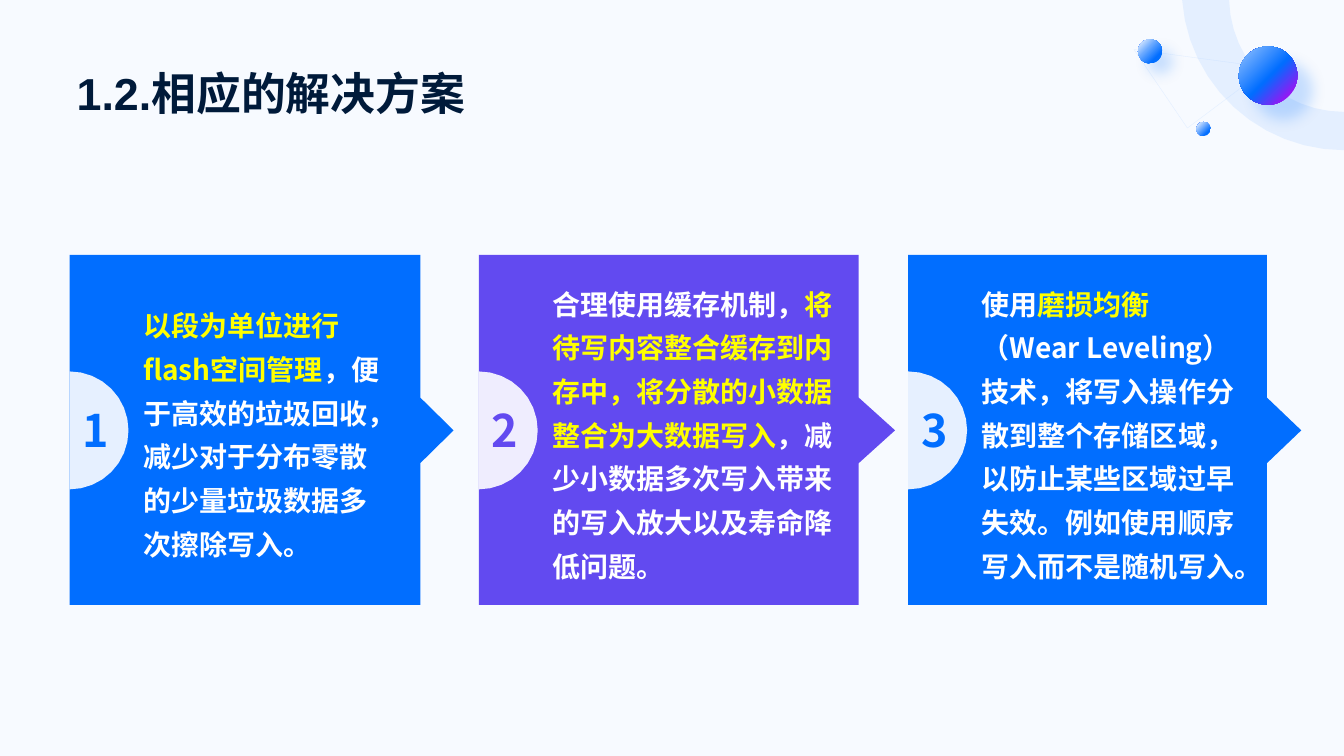
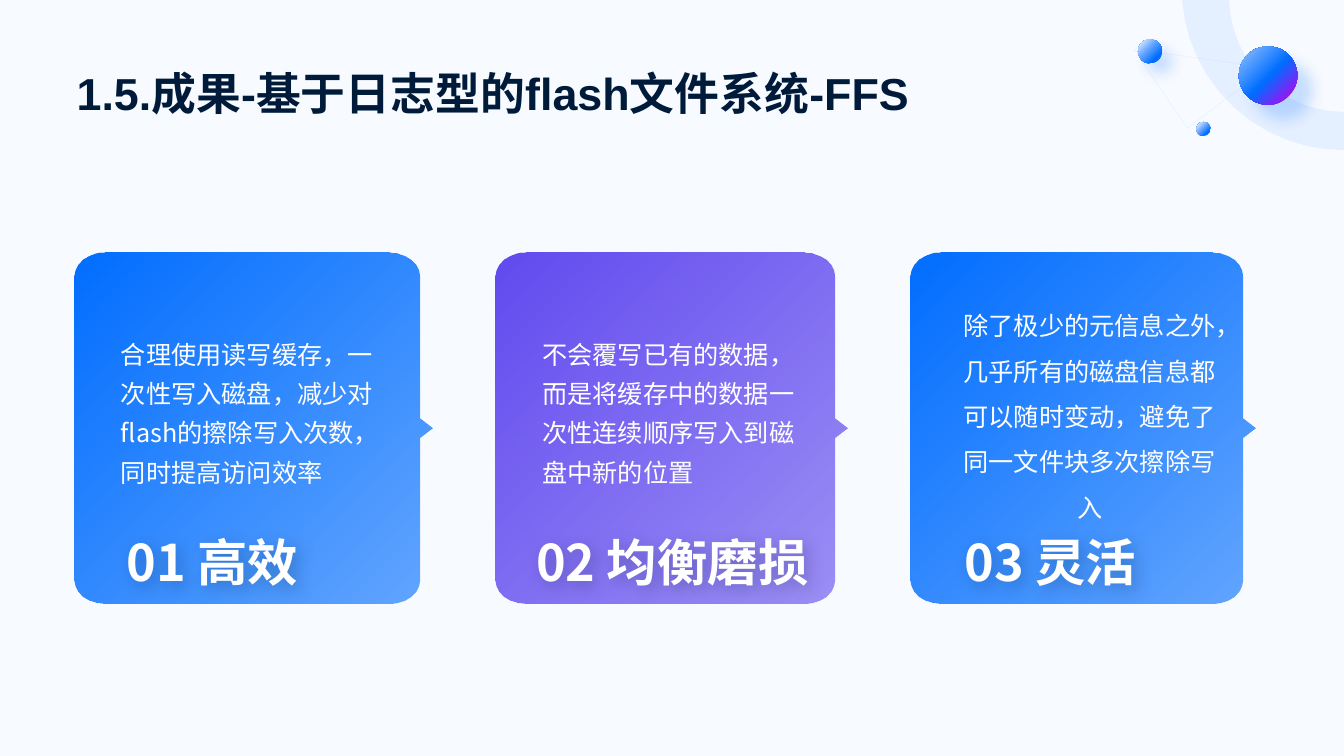
from math import cos, radians, sin

from pptx import Presentation
from pptx.dml.color import RGBColor
from pptx.enum.shapes import MSO_SHAPE
from pptx.enum.text import MSO_ANCHOR, PP_ALIGN
from pptx.oxml import parse_xml
from pptx.oxml.ns import nsdecls, qn
from pptx.util import Inches, Pt

OVAL, RECT = MSO_SHAPE.OVAL, MSO_SHAPE.RECTANGLE
MIDDLE, BOTTOM = MSO_ANCHOR.MIDDLE, MSO_ANCHOR.BOTTOM
LEFT, CENTER = PP_ALIGN.LEFT, PP_ALIGN.CENTER

SLIDE_W, SLIDE_H = 40 / 3, 7.5

BLUE = RGBColor(0x01, 0x6E, 0xFF)
PURPLE = RGBColor(0x62, 0x4A, 0xF0)
VIOLET = RGBColor(0x96, 0x18, 0xF4)
SKY = RGBColor(0x67, 0xA8, 0xFF)
LIGHT_BLUE = RGBColor(0x99, 0xC5, 0xFF)
PALE_BLUE = RGBColor(0xCC, 0xE2, 0xFF)
BADGE_BLUE = RGBColor(0xE6, 0xF0, 0xFF)
BADGE_PURPLE = RGBColor(0xEF, 0xED, 0xFE)
BACKGROUND = RGBColor(0xF7, 0xFA, 0xFF)
NAVY = RGBColor(0x00, 0x1A, 0x3A)
YELLOW = RGBColor(0xFF, 0xFF, 0x00)
WHITE = RGBColor(0xFF, 0xFF, 0xFF)

TITLE_FONT, BODY_FONT = "Arial", "Noto Sans CJK SC"

# Left edge, body width, arrow tip, card and badge colours, text runs
SOLUTIONS = [
    (0.69, 3.48, 0.33, BLUE, BADGE_BLUE, [
        ("以段为单位进行flash空间管理", YELLOW),
        ("，便于高效的垃圾回收，减少对于分布零散的少量垃圾数据多次擦除写入。", WHITE)]),
    (4.75, 3.77, 0.36, PURPLE, BADGE_PURPLE, [
        ("合理使用缓存机制，", WHITE),
        ("将待写内容整合缓存到内存中，将分散的小数据整合为大数据写入", YELLOW),
        ("，减少小数据多次写入带来的写入放大以及寿命降低问题。", WHITE)]),
    (9.01, 3.56, 0.34, BLUE, BADGE_BLUE, [
        ("使用", WHITE),
        ("磨损均衡", YELLOW),
        ("（Wear Leveling）技术，将写入操作分散到整个存储区域，以防止某些区域过早失效。"
         "例如使用顺序写入而不是随机写入。", WHITE)]),
]

# Left edge, body width, right inset, colour, text, alignment, line spacing,
# label, its left and width
RESULTS = [
    (0.74, 3.42, 0.36, BLUE,
     "合理使用读写缓存，一次性写入磁盘，减少对flash的擦除写入次数，同时提高访问效率",
     LEFT, 1.3, "01 高效", 1.14, 1.93),
    (4.92, 3.36, 0.34, PURPLE,
     "不会覆写已有的数据，而是将缓存中的数据一次性连续顺序写入到磁盘中新的位置",
     LEFT, 1.3, "02 均衡磨损", 5.16, 3.02),
    (9.03, 3.3, 0.33, BLUE,
     "除了极少的元信息之外，几乎所有的磁盘信息都可以随时变动，避免了同一文件块多次擦除写入",
     CENTER, 1.5, "03 灵活", 9.28, 2.28),
]


# Fills and effects
def color_xml(color, alpha=100):
    return f'<a:srgbClr val="{color}"><a:alpha val="{alpha * 1000}"/></a:srgbClr>'


def set_alpha(fill_parent, alpha):
    color = fill_parent.find(qn("a:solidFill"))[0]
    color.append(parse_xml(f'<a:alpha {nsdecls("a")} val="{alpha * 1000}"/>'))


def set_gradient(sp, stops, angle=None):
    """Stops are (position, colour, alpha); radial unless an angle is given."""
    gs = "".join(f'<a:gs pos="{pos * 1000}">{color_xml(color, alpha)}</a:gs>'
                 for pos, color, alpha in stops)
    if angle is None:
        way = '<a:path path="circle"><a:fillToRect r="100000" b="100000"/></a:path>'
    else:
        way = f'<a:lin ang="{angle * 60000}" scaled="0"/>'
    sp.fill.background()
    spPr = sp._element.spPr
    spPr.replace(spPr.find(qn("a:noFill")), parse_xml(
        f'<a:gradFill {nsdecls("a")} rotWithShape="1"><a:gsLst>{gs}</a:gsLst>{way}</a:gradFill>'))


def set_shadow(sp, color, alpha, blur, dist):
    sp.shadow.inherit = False
    sp._element.spPr.find(qn("a:effectLst")).append(parse_xml(
        f'<a:outerShdw {nsdecls("a")} blurRad="{Pt(blur)}" dist="{Pt(dist)}" dir="2700000" '
        f'algn="tl" rotWithShape="0">{color_xml(color, alpha)}</a:outerShdw>'))


def set_plain(sp, fill=None):
    sp.shadow.inherit = False
    sp.line.fill.background()
    if fill is None:
        sp.fill.background()
    else:
        sp.fill.solid()
        sp.fill.fore_color.rgb = fill
    return sp


# Outlines, shapes and text
def arc(cx, cy, rx, ry, start, end, steps=6):
    """Points along an ellipse, in degrees clockwise from the right."""
    angles = [radians(start + (end - start) * i / steps) for i in range(steps + 1)]
    return [(cx + rx * cos(a), cy + ry * sin(a)) for a in angles]


def add_outline(s, points, fill=None):
    points = [(Inches(x), Inches(y)) for x, y in points]
    builder = s.shapes.build_freeform(*points[0])
    builder.add_line_segments(points[1:], close=True)
    return set_plain(builder.convert_to_shape(), fill)


def add_preset(s, kind, x, y, w, h, fill=None):
    return set_plain(s.shapes.add_shape(kind, Inches(x), Inches(y), Inches(w), Inches(h)), fill)


def set_text(sp, runs, size, font=BODY_FONT, bold=False, align=LEFT, anchor=MIDDLE,
             spacing=1.0, insets=(0, 0, 0, 0), wrap=True):
    """Runs are (text, colour); insets are left, top, right, bottom."""
    tf = sp.text_frame
    tf.word_wrap = wrap
    tf.vertical_anchor = anchor
    tf.margin_left, tf.margin_top, tf.margin_right, tf.margin_bottom = map(Inches, insets)
    p = tf.paragraphs[0]
    p.alignment = align
    p.line_spacing = spacing
    for text, color in runs:
        r = p.add_run()
        r.text = text
        r.font.size, r.font.bold, r.font.name = Pt(size), bold, font
        r.font.color.rgb = color
        rPr = r.font._element
        rPr.set("lang", "zh-CN")
        rPr.append(parse_xml(f'<a:ea {nsdecls("a")} typeface="{BODY_FONT}"/>'))


def add_text(s, x, y, w, h, text, color, **fmt):
    sp = s.shapes.add_textbox(Inches(x), Inches(y), Inches(w), Inches(h))
    set_text(sp, [(text, color)], **fmt)
    return sp


# Parts shared by the slides
def add_ball(s, x, y, size, stops):
    sp = add_preset(s, OVAL, x, y, size, size)
    set_gradient(sp, [(pos, color, 100) for pos, color in stops])
    return sp


def new_slide(prs, title):
    s = prs.slides.add_slide(prs.slide_layouts[6])
    add_preset(s, RECT, 0, 0, SLIDE_W, SLIDE_H, BACKGROUND)

    # Corner decoration
    web = add_outline(s, [(11.25, 0.49), (12.58, 0.67), (11.78, 1.27)])
    web.line.color.rgb = PALE_BLUE
    web.line.width = Pt(0.25)
    set_alpha(web.line._ln, 50)
    ring = add_outline(s, arc(SLIDE_W, -0.12, 1.61, 1.61, 90, 175.7, steps=12)
                       + arc(SLIDE_W, -0.03, 1.14, 1.14, 178.5, 90, steps=12), LIGHT_BLUE)
    set_alpha(ring._element.spPr, 20)
    big = add_ball(s, 12.29, 0.46, 0.58, [(0, LIGHT_BLUE), (52, BLUE), (85, VIOLET)])
    set_shadow(big, BLUE, 20, 10, 15)
    small = add_ball(s, 11.29, 0.39, 0.24, [(12, PALE_BLUE), (40, SKY), (75, BLUE)])
    set_shadow(small, BLUE, 20, 10, 10)
    add_ball(s, 11.87, 1.21, 0.14, [(13, PALE_BLUE), (75, BLUE)])

    add_text(s, 0.76, 0.39, 11.81, 0.79, title, NAVY, size=32, font=TITLE_FONT,
             bold=True, anchor=BOTTOM)
    return s


# Cards
def add_solution(s, number, x, w, tip, color, badge_color, runs):
    top, bottom, middle = 2.53, 6, 4.27
    notch, radius = 0.65 / 2, 1.17 / 2
    right = x + w
    card = add_outline(s, [(x, top), (right, top), (right, middle - notch),
                           (right + tip, middle), (right, middle + notch),
                           (right, bottom), (x, bottom)], color)
    set_text(card, runs, size=20, bold=True, spacing=1.3, insets=(0.73, 0.54, 0.59, 0.54))
    badge = add_outline(s, arc(x, middle, radius, radius, -90, 90, steps=16), badge_color)
    set_text(badge, [(str(number), color)], size=32, bold=True, align=CENTER,
             insets=(0.1, 0.22, 0.16, 0.24), wrap=False)


def add_result(s, x, w, inset, color, text, align, spacing, label, label_x, label_w):
    top, bottom, middle, notch, tip = 2.51, 5.99, 4.25, 0.1, 0.13
    rx, ry = 0.3, 0.24
    right = x + w
    card = add_outline(s, arc(x + rx, top + ry, rx, ry, 180, 270)
                       + arc(right - rx, top + ry, rx, ry, 270, 360)
                       + [(right, middle - notch), (right + tip, middle), (right, middle + notch)]
                       + arc(right - rx, bottom - ry, rx, ry, 0, 90)
                       + arc(x + rx, bottom - ry, rx, ry, 90, 180))
    set_gradient(card, [(0, color, 100), (100, color, 60)], angle=45)
    set_text(card, [(text, WHITE)], size=18, align=align, spacing=spacing,
             insets=(0.46, 0.51, inset, 0.9))
    heading = add_text(s, label_x, 5.22, label_w, 0.7, label, WHITE, size=36, bold=True,
                       align=CENTER, wrap=False)
    set_shadow(heading, NAVY, 25, 12, 4)


def main():
    prs = Presentation()
    prs.slide_width, prs.slide_height = Inches(SLIDE_W), Inches(SLIDE_H)

    s = new_slide(prs, "1.2.相应的解决方案")
    for number, solution in enumerate(SOLUTIONS, 1):
        add_solution(s, number, *solution)

    s = new_slide(prs, "1.5.成果-基于日志型的flash文件系统-FFS")
    for result in RESULTS:
        add_result(s, *result)

    prs.save("out.pptx")


if __name__ == "__main__":
    main()
